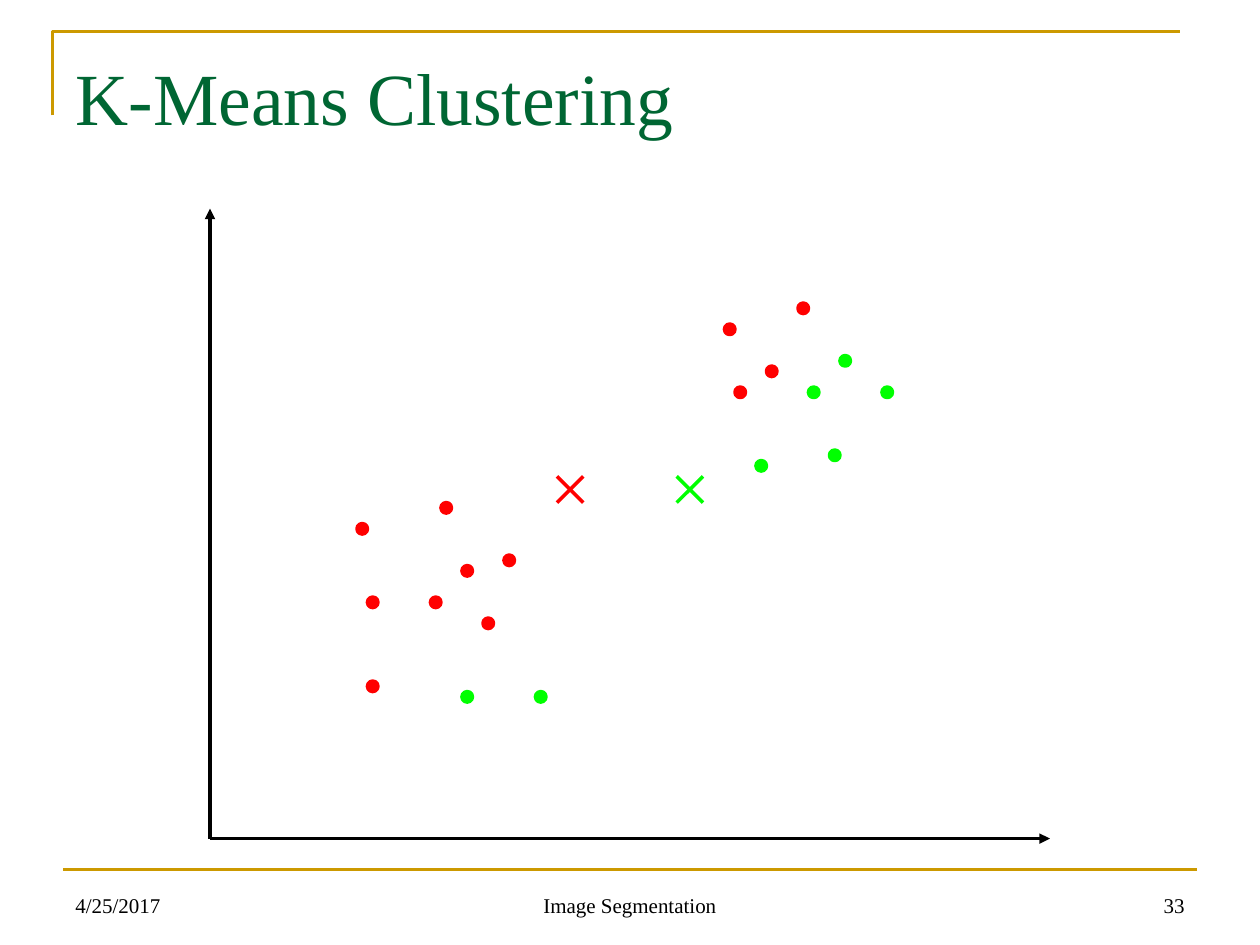
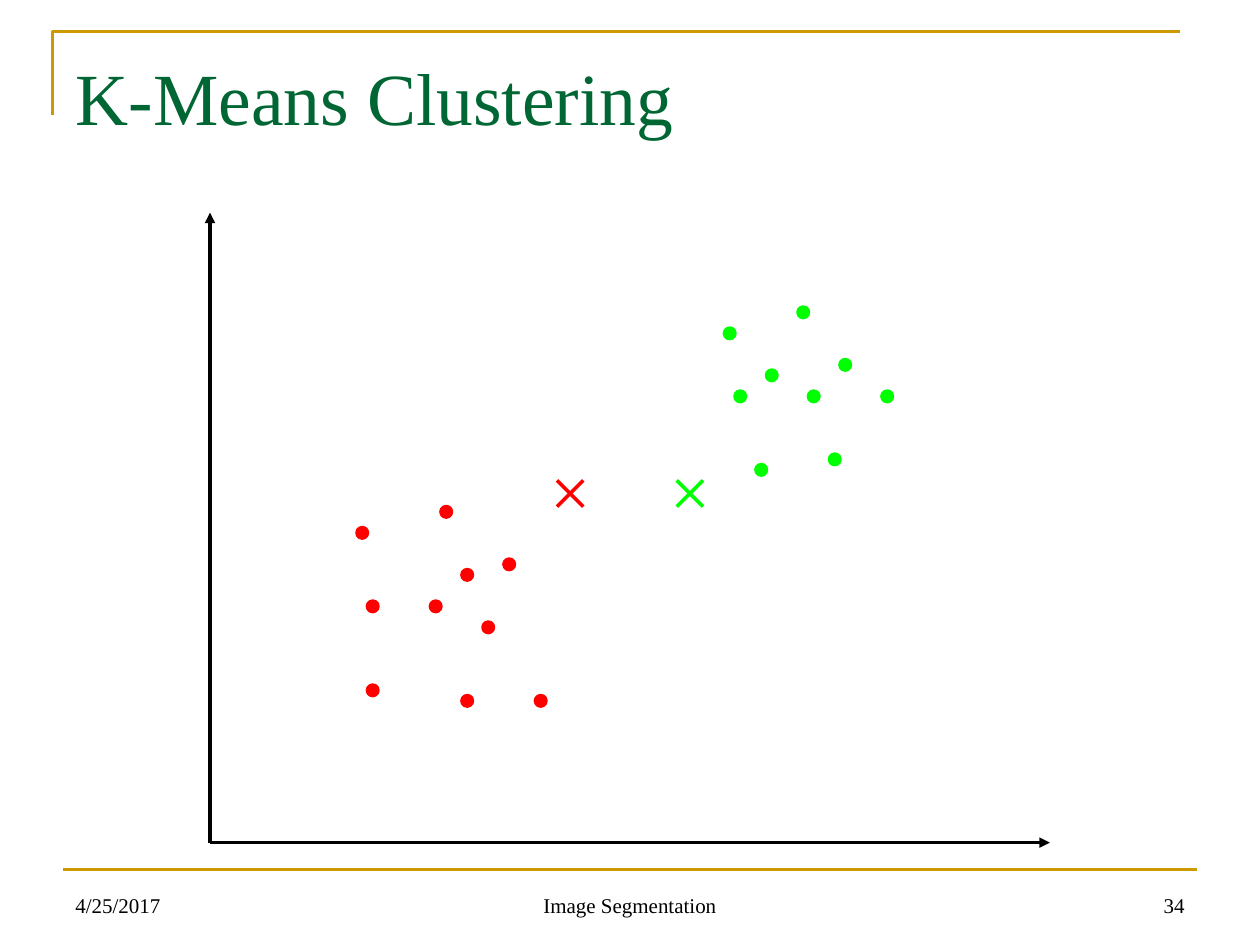
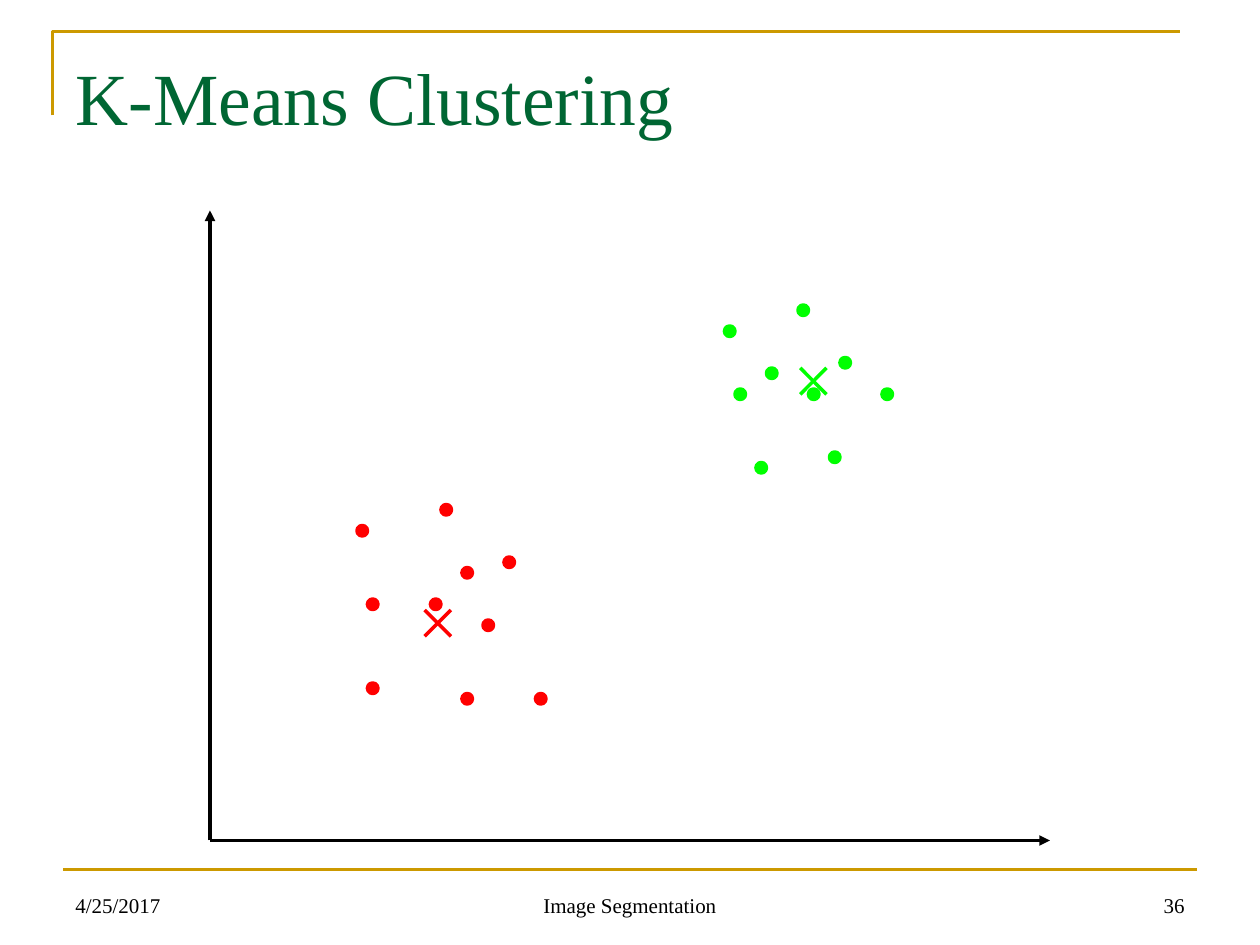
"""Build three slides that step through k-means clustering."""
from dataclasses import dataclass
from typing import NamedTuple

from lxml.etree import SubElement
from pptx import Presentation
from pptx.dml.color import RGBColor
from pptx.enum.shapes import MSO_CONNECTOR, MSO_SHAPE
from pptx.enum.text import MSO_ANCHOR, MSO_AUTO_SIZE, PP_ALIGN
from pptx.oxml.ns import qn
from pptx.util import Pt


@dataclass(frozen=True)
class Theme:
    """Colours, type sizes and line widths of the deck."""
    font: str = "Times New Roman"
    title_size: float = 42
    footer_size: float = 12
    title: RGBColor = RGBColor(0x00, 0x66, 0x33)
    rule: RGBColor = RGBColor(0xCC, 0x99, 0x00)
    ink: RGBColor = RGBColor(0x00, 0x00, 0x00)
    red: RGBColor = RGBColor(0xFF, 0x00, 0x00)
    green: RGBColor = RGBColor(0x00, 0xFF, 0x00)
    rule_width: float = 1.5
    plot_width: float = 2


class Box(NamedTuple):
    """A rectangle in points."""
    left: float
    top: float
    width: float
    height: float

    def lengths(self):
        """Return the rectangle as python-pptx lengths."""
        return [Pt(value) for value in self]


class Step(NamedTuple):
    """One stage of the clustering."""
    number: str
    plot_top: float
    red_points: list
    green_points: list
    red_centre: tuple
    green_centre: tuple


THEME = Theme()
FRAME = Box(30, 18, 644.4, 48)
TITLE = Box(36, 21.6, 648, 90)
FOOTER = Box(36, 492, 648, 36)
FOOTER_RULE_TOP = 496.8
GRID = 6
CROSS_SIZE = 15
UPPER_LEFT = [(49, 11), (50, 17), (53, 15), (56, 9)]
UPPER_RIGHT = [(60, 14), (57, 17), (52, 24), (59, 23), (64, 17)]
LOWER_LEFT = [(22, 28), (28, 33), (26, 39), (24, 34), (14, 30), (15, 37), (21, 37), (15, 45)]
LOWER_RIGHT = [(24, 46), (31, 46)]
LOWER = LOWER_LEFT + LOWER_RIGHT
UPPER = UPPER_LEFT + UPPER_RIGHT
FIRST_CENTRES = ((205.8, 160.5), (274.2, 160.5))
STEPS = [
    Step("33", 119.2, UPPER_LEFT + LOWER_LEFT, UPPER_RIGHT + LOWER_RIGHT, *FIRST_CENTRES),
    Step("34", 121.5, LOWER, UPPER, *FIRST_CENTRES),
    Step("36", 120.3, LOWER, UPPER, (130.2, 235.8), (344.8, 97.5)),
]


def add_line(shapes, start, end, color, width, arrow=False):
    """Draw a straight line, with an arrowhead at its end if wanted."""
    ends = [Pt(value) for value in (*start, *end)]
    line = shapes.add_connector(MSO_CONNECTOR.STRAIGHT, *ends)
    line.line.color.rgb = color
    line.line.width = Pt(width)
    if arrow:
        SubElement(line.line._get_or_add_ln(), qn("a:tailEnd"), type="triangle")
    SubElement(line._element.spPr, qn("a:effectLst"))


def format_text(paragraph, size, color):
    """Set the deck font on a paragraph."""
    paragraph.font.name = THEME.font
    paragraph.font.size = Pt(size)
    paragraph.font.color.rgb = color


def add_frame(page, box):
    """Draw the open corner along the left and top edges of the box."""
    builder = page.shapes.build_freeform(Pt(box.left), Pt(box.top + box.height))
    corner = [(Pt(box.left), Pt(box.top)), (Pt(box.left + box.width), Pt(box.top))]
    builder.add_line_segments(corner, close=False)
    frame = builder.convert_to_shape()
    frame.fill.background()
    frame.line.color.rgb = THEME.rule
    frame.line.width = Pt(THEME.rule_width)
    frame.shadow.inherit = False


def add_title(page, box, text):
    """Place and format the title placeholder."""
    title = page.shapes.title
    title.left, title.top, title.width, title.height = box.lengths()
    frame = title.text_frame
    frame.text = text
    frame.auto_size = MSO_AUTO_SIZE.NONE
    frame.vertical_anchor = MSO_ANCHOR.TOP
    frame.margin_top = Pt(8)
    paragraph = frame.paragraphs[0]
    paragraph.alignment = PP_ALIGN.LEFT
    format_text(paragraph, THEME.title_size, THEME.title)


def add_footer(page, box, number):
    """Draw the footer rule with date, subject and page number."""
    right = box.left + box.width
    add_line(page.shapes, (box.left, FOOTER_RULE_TOP), (right, FOOTER_RULE_TOP),
             THEME.rule, THEME.rule_width)
    side, middle = 168, 228
    parts = [
        ("4/25/2017", box.left, side, PP_ALIGN.LEFT),
        ("Image Segmentation", box.left + (box.width - middle) / 2, middle, PP_ALIGN.CENTER),
        (number, right - side, side, PP_ALIGN.RIGHT),
    ]
    for text, left, width, alignment in parts:
        label = page.shapes.add_textbox(*Box(left, box.top, width, box.height).lengths())
        frame = label.text_frame
        frame.word_wrap = True
        frame.vertical_anchor = MSO_ANCHOR.BOTTOM
        frame.text = text
        paragraph = frame.paragraphs[0]
        paragraph.alignment = alignment
        format_text(paragraph, THEME.footer_size, THEME.ink)


def add_axes(page, box):
    """Draw the two arrows along the left and bottom edges of the box."""
    axes = page.shapes.add_group_shape().shapes
    bottom = box.top + box.height
    origin = (box.left, bottom)
    for end in [(box.left + box.width, bottom), (box.left, box.top)]:
        add_line(axes, origin, end, THEME.ink, THEME.plot_width, arrow=True)


def add_points(page, box, points, color):
    """Draw data points given in grid steps from the corner of the box."""
    for column, row in points:
        place = Box(box.left + column * GRID, box.top + row * GRID, GRID, GRID)
        point = page.shapes.add_shape(MSO_SHAPE.OVAL, *place.lengths())
        point.fill.solid()
        point.fill.fore_color.rgb = color
        point.line.color.rgb = color
        point.line.width = Pt(THEME.plot_width)
        point.shadow.inherit = False


def add_centre(page, box, centre, color):
    """Draw a cluster centre as a cross."""
    cross = page.shapes.add_group_shape().shapes
    half = CROSS_SIZE / 2
    x, y = box.left + centre[0], box.top + centre[1]
    for rise in (half, -half):
        add_line(cross, (x - half, y - rise), (x + half, y + rise), color, THEME.plot_width)


def add_plot(page, box, step):
    """Draw axes, data points and cluster centres."""
    add_axes(page, box)
    add_points(page, box, step.red_points, THEME.red)
    add_points(page, box, step.green_points, THEME.green)
    add_centre(page, box, step.red_centre, THEME.red)
    add_centre(page, box, step.green_centre, THEME.green)


def add_step(deck, step):
    """Add one slide for a stage of the clustering."""
    page = deck.slides.add_slide(deck.slide_layouts.get_by_name("Title Only"))
    add_frame(page, FRAME)
    add_footer(page, FOOTER, step.number)
    add_plot(page, Box(120, step.plot_top, 480, 360), step)
    add_title(page, TITLE, "K-Means Clustering")


def main():
    """Build and save the deck."""
    deck = Presentation()
    deck.slide_width, deck.slide_height = Pt(720), Pt(540)
    for step in STEPS:
        add_step(deck, step)
    deck.save("out.pptx")


if __name__ == "__main__":
    main()
